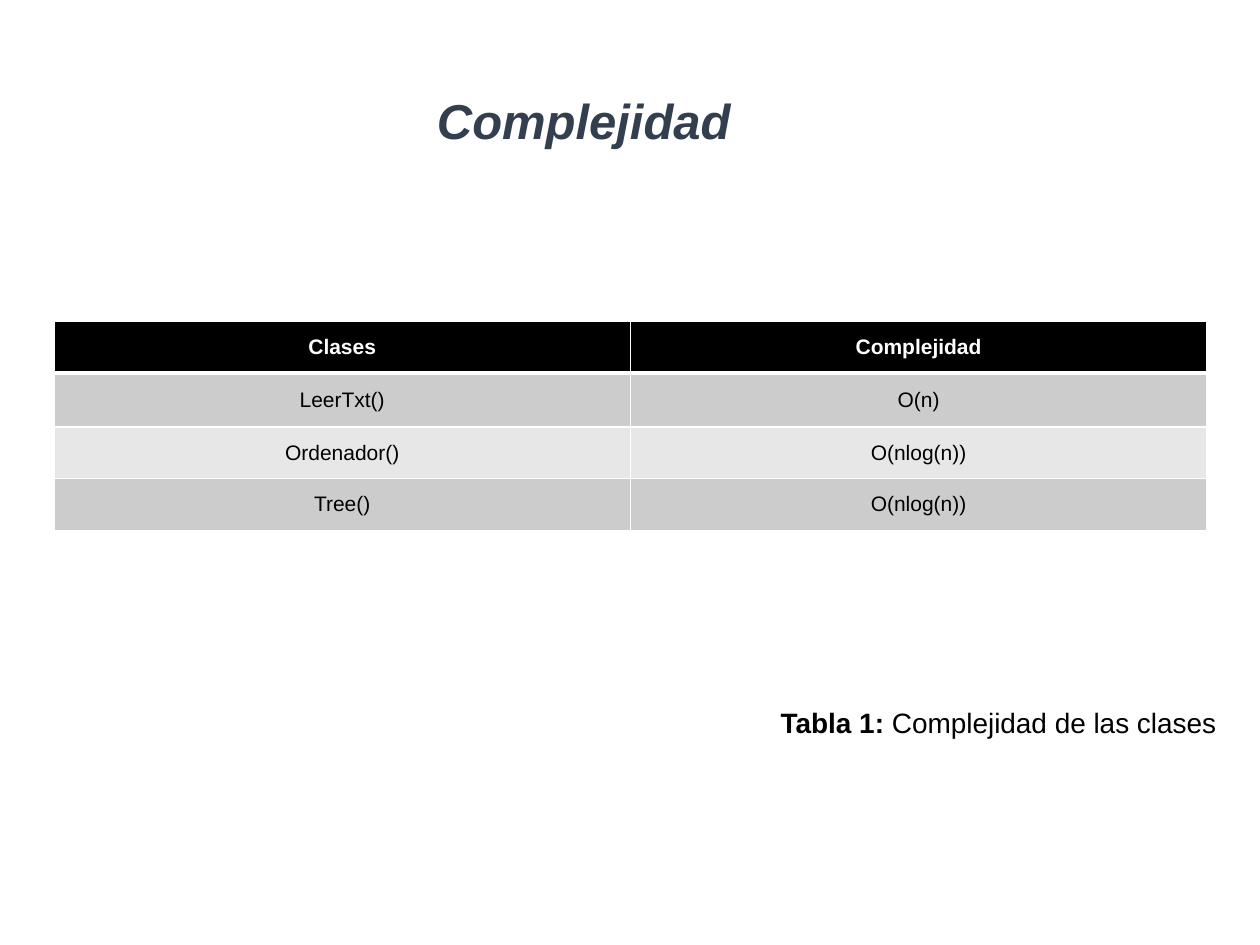
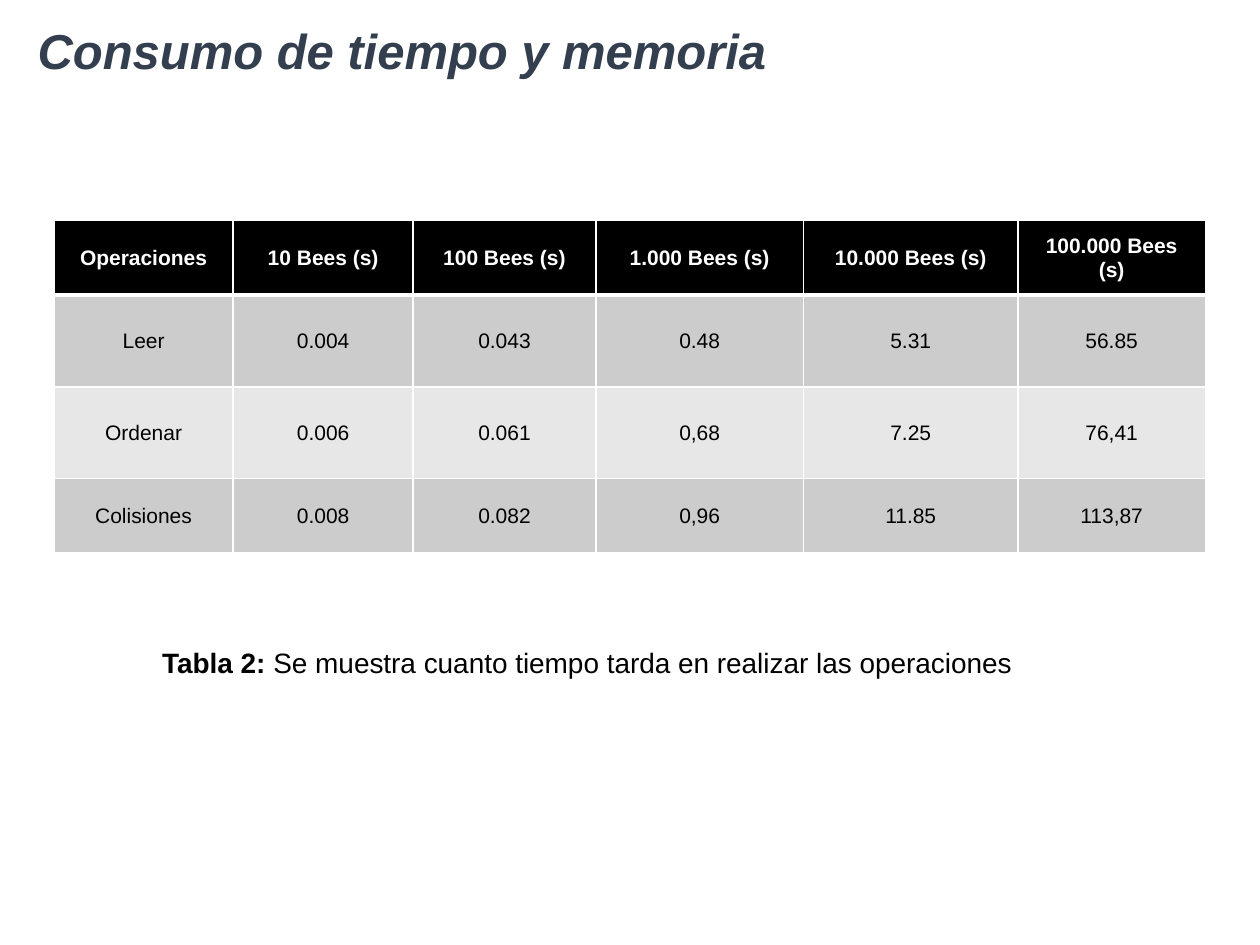
from lxml.etree import SubElement
from pptx import Presentation
from pptx.dml.color import RGBColor
from pptx.enum.text import MSO_VERTICAL_ANCHOR as Anchor, PP_PARAGRAPH_ALIGNMENT as Align
from pptx.oxml.ns import qn
from pptx.util import Cm, Pt

COLOURS = {
    "title": "333F4F",
    "text": "000000",
    "header": "000000",
    "header_text": "FFFFFF",
    "odd_row": "CCCCCC",
    "even_row": "E7E7E7",
    "border": "FFFFFF",
}
FONT = "Arial"
TITLE_FORMAT = {"size": Pt(28), "bold": True, "italic": True}
LABEL_FORMAT = {"size": Pt(16), "bold": True}
CAPTION_FORMAT = {"size": Pt(16), "bold": False}
HEADER_FORMAT = {"size": Pt(12), "bold": True}
BODY_FORMAT = {"size": Pt(12), "bold": False}
THIN, THICK = Pt(1), Pt(3)
TABLE_LEFT = 1.09


class Deck:
    """Holds the shared style and the slide being built."""

    def __init__(self):
        self.presentation = Presentation()
        self.presentation.slide_width = Cm(25.4)
        self.presentation.slide_height = Cm(19.05)
        self.slide = None

    def add_slide(self):
        self.slide = self.presentation.slides.add_slide(self.presentation.slide_layouts[6])

    def add_run(self, paragraph, text, colour, values):
        run = paragraph.add_run()
        run.text = text
        run.font.name = FONT
        run.font.color.rgb = RGBColor.from_string(COLOURS[colour])
        for name, value in values.items():
            setattr(run.font, name, value)

    def add_text_box(self, left, top, width, height, anchor):
        box = self.slide.shapes.add_textbox(Cm(left), Cm(top), Cm(width), Cm(height))
        box.text_frame.word_wrap = True
        box.text_frame.vertical_anchor = anchor
        return box.text_frame.paragraphs[0]

    def add_title(self, text, left, top):
        paragraph = self.add_text_box(left, top, 21.9, 1.7, Anchor.MIDDLE)
        paragraph.line_spacing = 0.9
        self.add_run(paragraph, text, "title", TITLE_FORMAT)

    def add_caption(self, label, text, left, top, width, height, alignment=Align.LEFT):
        paragraph = self.add_text_box(left, top, width, height, Anchor.TOP)
        paragraph.alignment = alignment
        self.add_run(paragraph, label + " ", "text", LABEL_FORMAT)
        self.add_run(paragraph, text, "text", CAPTION_FORMAT)

    def add_borders(self, cell, row_index):
        # The rule below the header row is thicker than the others
        widths = {
            "a:lnL": THIN,
            "a:lnR": THIN,
            "a:lnT": THICK if row_index == 1 else THIN,
            "a:lnB": THICK if row_index == 0 else THIN,
        }
        properties = cell._tc.get_or_add_tcPr()
        for tag, width in widths.items():
            line = SubElement(properties, qn(tag), w=str(int(width)))
            fill = SubElement(line, qn("a:solidFill"))
            SubElement(fill, qn("a:srgbClr"), val=COLOURS["border"])

    def add_table(self, rows, top, column_widths, row_heights):
        table = self.slide.shapes.add_table(
            len(rows), len(column_widths), Cm(TABLE_LEFT), Cm(top),
            Cm(sum(column_widths)), Cm(sum(row_heights))).table
        for column, width in zip(table.columns, column_widths):
            column.width = Cm(width)
        for row, height in zip(table.rows, row_heights):
            row.height = Cm(height)

        for row_index, texts in enumerate(rows):
            if row_index == 0:
                fill, colour, values = "header", "header_text", HEADER_FORMAT
            else:
                fill = "odd_row" if row_index % 2 else "even_row"
                colour, values = "text", BODY_FORMAT
            for column_index, text in enumerate(texts):
                cell = table.cell(row_index, column_index)
                self.add_borders(cell, row_index)
                cell.fill.solid()
                cell.fill.fore_color.rgb = RGBColor.from_string(COLOURS[fill])
                cell.vertical_anchor = Anchor.MIDDLE
                paragraph = cell.text_frame.paragraphs[0]
                paragraph.alignment = Align.CENTER
                self.add_run(paragraph, text, colour, values)


def main():
    deck = Deck()

    # Complexity of the classes
    deck.add_slide()
    deck.add_title("Complejidad", 8.56, 1.65)
    deck.add_caption("Tabla 1:", "Complejidad de las clases",
                     14.86, 14.1, 10.54, 1.7, Align.CENTER)
    complexity = [
        ("Clases", "Complejidad"),
        ("LeerTxt()", "O(n)"),
        ("Ordenador()", "O(nlog(n))"),
        ("Tree()", "O(nlog(n))"),
    ]
    deck.add_table(complexity, 6.48, [11.62] * 2, [1.04, 1.09, 1.04, 1.04])

    # Time used by each operation
    deck.add_slide()
    deck.add_title("Consumo de tiempo y memoria", 0.51, 0.23)
    deck.add_caption("Tabla 2:", "Se muestra cuanto tiempo tarda en realizar las operaciones",
                     3.02, 12.88, 21.29, 1.57)
    bee_counts = ["10", "100", "1.000", "10.000", "100.000"]
    times = [
        ["Operaciones"] + [f"{count} Bees (s)" for count in bee_counts],
        ["Leer", "0.004", "0.043", "0.48", "5.31", "56.85"],
        ["Ordenar", "0.006", "0.061", "0,68", "7.25", "76,41"],
        ["Colisiones", "0.008", "0.082", "0,96", "11.85", "113,87"],
    ]
    deck.add_table(times, 4.45, [3.61, 3.63, 3.68, 4.19, 4.32, 3.78], [1.5, 1.85, 1.85, 1.5])

    deck.presentation.save("out.pptx")


if __name__ == "__main__":
    main()
